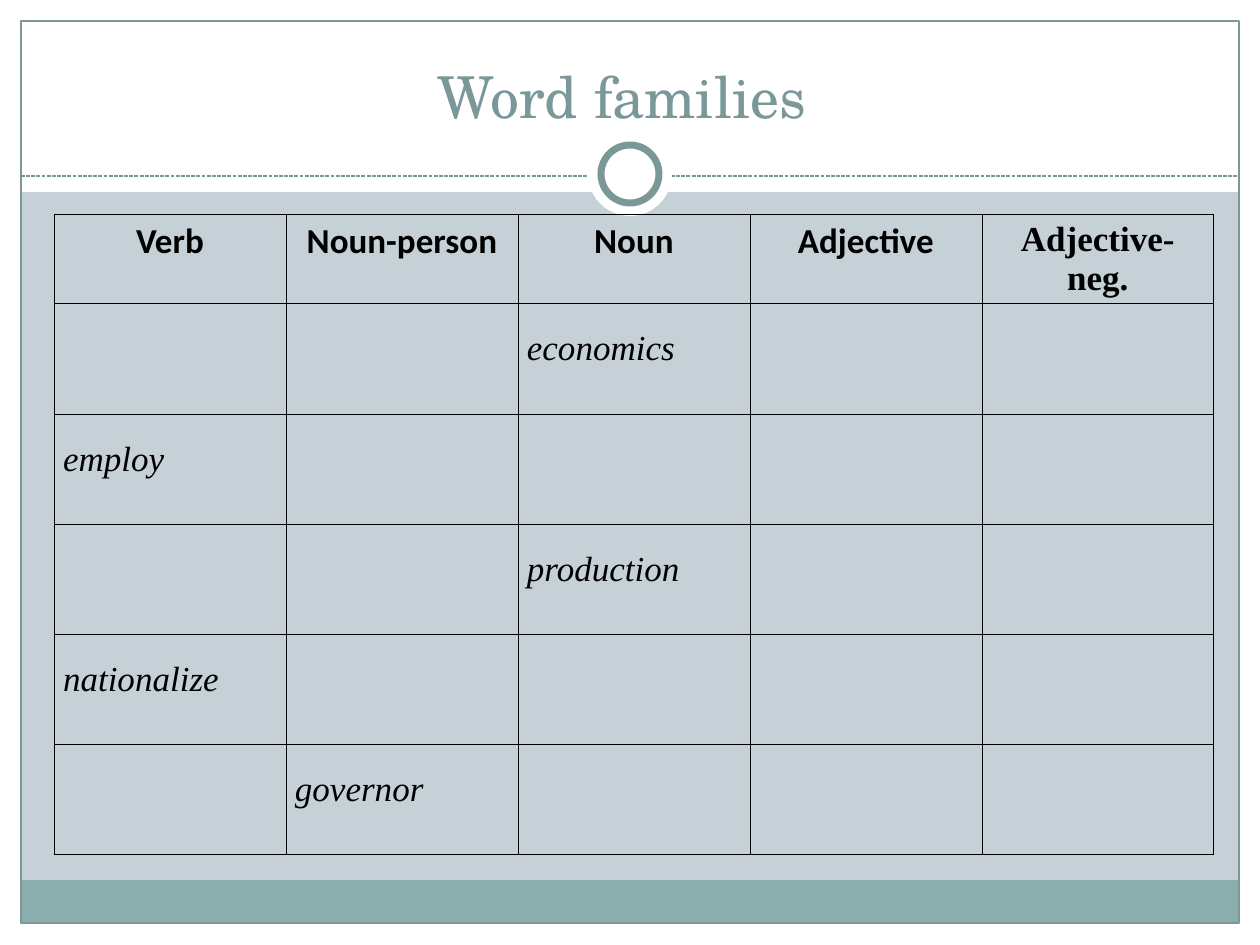
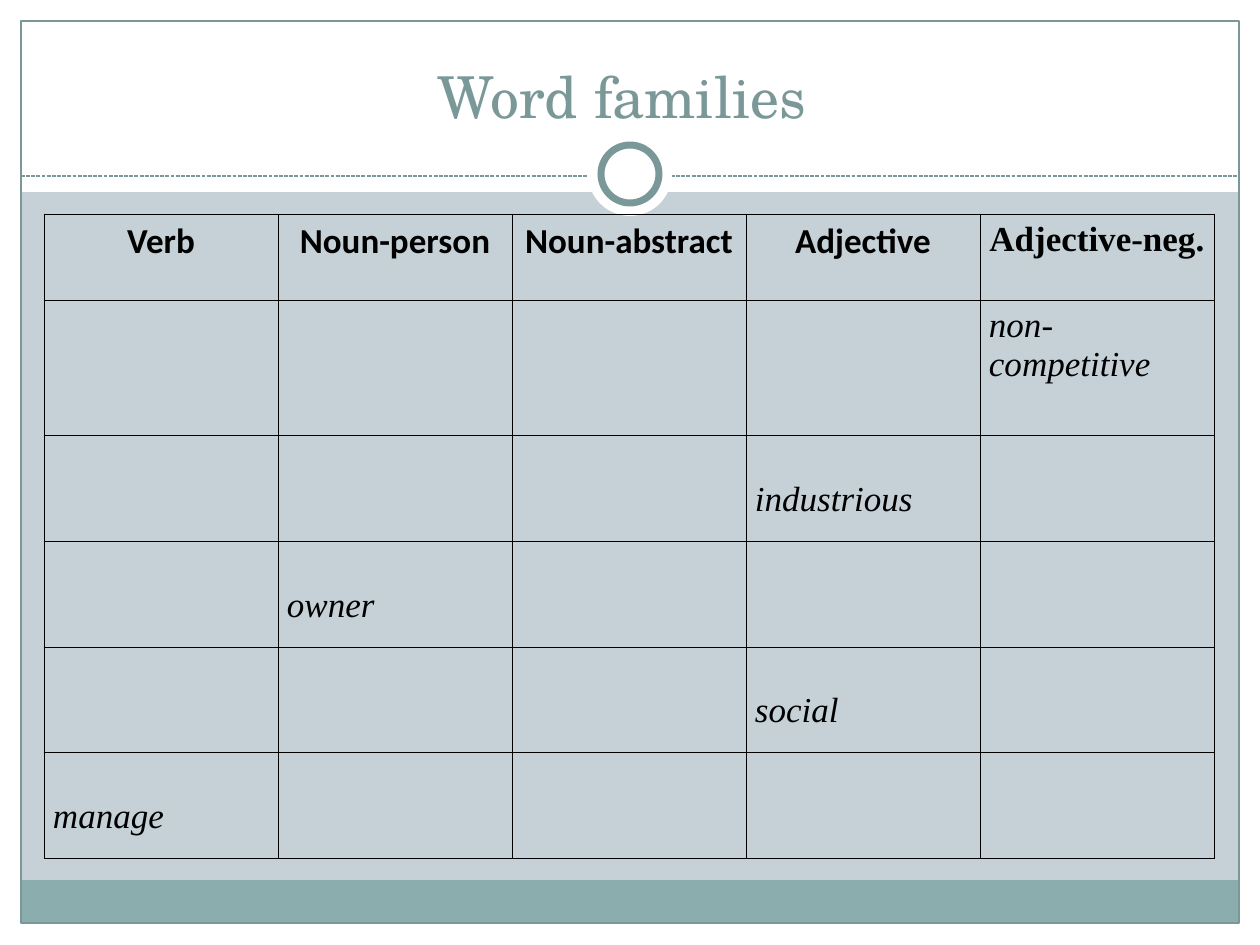
import pptx
import pptx.util
import pptx.dml.color
import pptx.enum.dml
import pptx.enum.shapes
import pptx.enum.text
import pptx.oxml
import pptx.oxml.ns

# Content: the word table of each slide
TITLE = "Word families "
SLIDES = [
    {
        "left": 54, "col_width": 232, "rows": [84, 111, 110, 110, 110, 110],
        "header": ["Verb", "Noun-person", "Noun", "Adjective", "Adjective-neg."],
        # (row, column, word, line spacing)
        "words": [(1, 2, "economics", 1.5), (2, 0, "employ", 1.5),
                  (3, 2, "production", 1.5), (4, 0, "nationalize", 1.5),
                  (5, 1, "governor", 1.5)],
    },
    {
        "left": 44, "col_width": 234, "rows": [86, 135, 106, 106, 106, 106],
        "header": ["Verb", "Noun-person", "Noun-abstract", "Adjective", "Adjective-neg."],
        "words": [(1, 4, "non-competitive", 1.0), (2, 3, "industrious", 2.0),
                  (3, 1, "owner", 2.0), (4, 3, "social", 2.0),
                  (5, 0, "manage", 2.0)],
    },
]

# Shared look
COLORS = {"back": "C5D1D7", "white": "FFFFFF", "band": "8CADAE",
          "accent": "7B9899", "text": "000000"}
FONTS = {"title": "TeX Gyre Schola", "header": "Calibri", "word": "Times New Roman"}
WIDTH, HEIGHT, MARGIN = 1260, 945, 21
RULE_Y = 176
TABLE_TOP = 214
SHAPE = pptx.enum.shapes.MSO_SHAPE
ALIGN = pptx.enum.text.PP_ALIGN

# Kind, box, fill, line colour, line width in points
FRAME_BACK = [
    (SHAPE.RECTANGLE, (0, HEIGHT - MARGIN, WIDTH, MARGIN), "white", None, 0),
    (SHAPE.RECTANGLE, (0, 0, WIDTH, 192), "white", None, 0),
    (SHAPE.RECTANGLE, (0, 0, MARGIN, HEIGHT), "white", None, 0),
    (SHAPE.RECTANGLE, (WIDTH - MARGIN, 0, MARGIN, HEIGHT), "white", None, 0),
    (SHAPE.RECTANGLE, (MARGIN, 880, WIDTH - 2 * MARGIN, 44), "band", None, 0),
    (SHAPE.RECTANGLE, (MARGIN, MARGIN, WIDTH - 2 * MARGIN, HEIGHT - 2 * MARGIN - 1),
     None, "accent", 0.75),
]
FRAME_FRONT = [
    (SHAPE.OVAL, (588, 132, 84, 84), "white", None, 0),
    (SHAPE.OVAL, (601, 145, 58, 58), "white", "accent", 4),
]


def px(n):
    return pptx.util.Emu(round(n * 914400 / 126))


def rgb(name):
    return pptx.dml.color.RGBColor.from_string(COLORS[name])


def set_text(tf, text, font, size, color="text", bold=False, italic=False,
             align=ALIGN.LEFT, spacing=None):
    p = tf.paragraphs[0]
    p.alignment = align
    if spacing:
        p.line_spacing = spacing
    r = p.add_run()
    r.text = text
    r.font.name = FONTS[font]
    r.font.size = pptx.util.Pt(size)
    r.font.bold, r.font.italic = bold, italic
    r.font.color.rgb = rgb(color)


def add_frame_shape(shapes, kind, box, fill, line, width):
    sp = shapes.add_shape(kind, *map(px, box))
    sp.shadow.inherit = False
    if fill:
        sp.fill.solid()
        sp.fill.fore_color.rgb = rgb(fill)
    else:
        sp.fill.background()
    if line:
        sp.line.color.rgb = rgb(line)
        sp.line.width = pptx.util.Pt(width)
    else:
        sp.line.fill.background()
    return sp


def add_rule(shapes):
    rule = shapes.add_connector(pptx.enum.shapes.MSO_CONNECTOR.STRAIGHT,
                                px(MARGIN), px(RULE_Y), px(WIDTH - MARGIN), px(RULE_Y))
    rule.line.color.rgb = rgb("accent")
    rule.line.width = pptx.util.Pt(0.75)
    rule.line.dash_style = pptx.enum.dml.MSO_LINE.SQUARE_DOT
    rule.element.spPr.append(pptx.oxml.parse_xml(
        f'<a:effectLst {pptx.oxml.ns.nsdecls("a")}/>'))
    return rule


def decorate_layout(layout, slide):
    """Draw the frame on a slide, then move it behind the layout's placeholders."""
    layout.background.fill.solid()
    layout.background.fill.fore_color.rgb = rgb("back")
    parts = [add_frame_shape(slide.shapes, *part) for part in FRAME_BACK]
    parts.append(add_rule(slide.shapes))
    parts += [add_frame_shape(slide.shapes, *part) for part in FRAME_FRONT]
    for i, part in enumerate(parts):
        part.element.xpath(".//p:cNvPr")[0].set("id", str(100 + i))
        layout.shapes.element.insert(2 + i, part.element)


def format_cell(cell):
    cell.fill.background()
    cell.margin_left = cell.margin_right = px(9)
    cell.margin_top = cell.margin_bottom = px(6)
    tc_pr = cell._tc.get_or_add_tcPr()
    for i, side in enumerate("LRTB"):
        tc_pr.insert(i, pptx.oxml.parse_xml(
            f'<a:ln{side} {pptx.oxml.ns.nsdecls("a")} w="5715"><a:solidFill>'
            f'<a:srgbClr val="{COLORS["text"]}"/></a:solidFill></a:ln{side}>'))


def add_title(slide):
    title = slide.shapes.title
    title.left, title.top, title.width, title.height = map(px, (42, 32, 1176, 104))
    tf = title.text_frame
    tf.auto_size = pptx.enum.text.MSO_AUTO_SIZE.NONE
    tf.vertical_anchor = pptx.enum.text.MSO_ANCHOR.BOTTOM
    set_text(tf, TITLE, "title", 33, color="accent", align=ALIGN.CENTER)


def add_word_table(slide, data):
    header, rows = data["header"], data["rows"]
    table = slide.shapes.add_table(
        len(rows), len(header), px(data["left"]), px(TABLE_TOP),
        px(data["col_width"] * len(header)), px(sum(rows))).table
    table.first_row = table.horz_banding = False
    for col in table.columns:
        col.width = px(data["col_width"])
    for row, height in zip(table.rows, rows):
        row.height = px(height)
    for cell in table.iter_cells():
        format_cell(cell)
    for c, text in enumerate(header):
        font = "word" if c == len(header) - 1 else "header"
        set_text(table.cell(0, c).text_frame, text, font, 20, bold=True,
                 align=ALIGN.CENTER)
    for r, c, word, spacing in data["words"]:
        set_text(table.cell(r, c).text_frame, word, "word", 20, italic=True,
                 spacing=spacing)


def main():
    prs = pptx.Presentation()
    prs.slide_width, prs.slide_height = px(WIDTH), px(HEIGHT)
    layout = prs.slide_layouts[5]
    for i, data in enumerate(SLIDES):
        slide = prs.slides.add_slide(layout)
        if i == 0:
            decorate_layout(layout, slide)
        add_title(slide)
        add_word_table(slide, data)
    prs.save("out.pptx")


if __name__ == "__main__":
    main()
